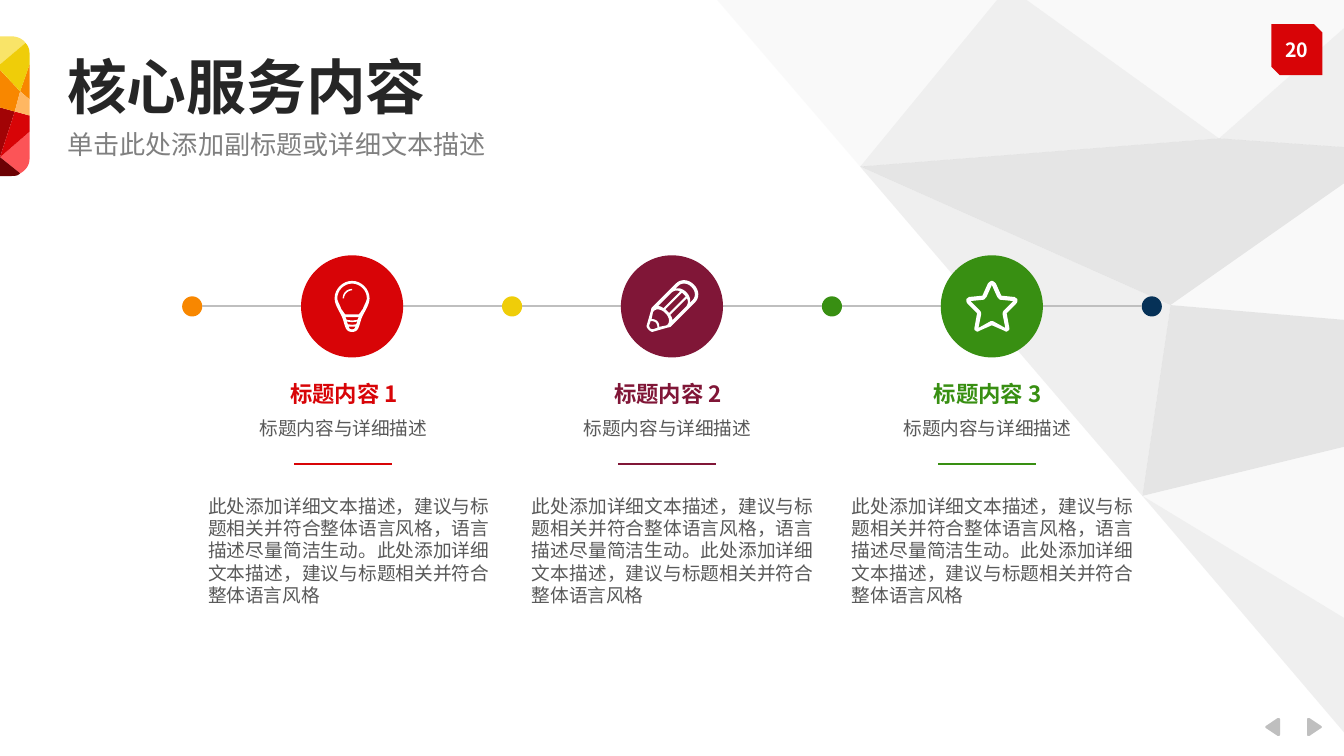
import math

import pptx
import pptx.dml.color
import pptx.enum.shapes
import pptx.enum.text
import pptx.oxml
import pptx.oxml.ns
import pptx.util
from pptx.util import Inches

RGB = pptx.dml.color.RGBColor
ALIGN = pptx.enum.text.PP_ALIGN
ANCHOR = pptx.enum.text.MSO_ANCHOR
SHAPE = pptx.enum.shapes.MSO_SHAPE

FONT = "Noto Sans CJK SC"
WHITE, PALE, LIGHT, SILVER = (RGB.from_string(c) for c in ("FFFFFF", "F2F2F2", "D9D9D9", "BFBFBF"))
INK, GREY, BODY_GREY = RGB(0x26, 0x26, 0x26), RGB(0x80, 0x80, 0x80), RGB(0x59, 0x59, 0x59)
RED, PLUM, GREEN = RGB(0xD8, 0x04, 0x07), RGB(0x80, 0x16, 0x37), RGB(0x38, 0x8F, 0x12)
ORANGE, YELLOW, NAVY = RGB(0xF8, 0x87, 0x00), RGB(0xEF, 0xCD, 0x09), RGB(0x06, 0x31, 0x57)
DARK_RED, MAROON, CORAL = RGB(0xA2, 0x03, 0x05), RGB(0x6C, 0x02, 0x04), RGB(0xFC, 0x54, 0x57)
LEMON, PEACH = RGB(0xF9, 0xE4, 0x68), RGB(0xFF, 0xB7, 0x62)

SUBHEADING = "标题内容与详细描述"
BODY = ("此处添加详细文本描述，建议与标题相关并符合整体语言风格，语言描述尽量简洁生动。"
        "此处添加详细文本描述，建议与标题相关并符合整体语言风格")

# Outlines list points (x, y) and cubic curves (x1, y1, x2, y2, x, y).
# Icon outlines give the right half, in hundredths of an inch from the icon centre.
BULB = [
    [(0, -19), (7, -19, 13, -13, 13, -6), (13, -1, 9, 4, 7, 9), (5, 15, 5, 19, 0, 19)],
    [(0, -17), (6, -17, 11, -12, 11, -6), (11, -4, 9, -1, 8, 2), (7, 3, 6, 5, 5, 6), (0, 6)],
    [(0, 8), (5, 8), (4, 10), (0, 10.5)],
    [(0, 11.7), (4, 11.3), (3, 13.3), (0, 13.7)],
    [(0, 15), (2.5, 15), (2, 17, 1, 17, 0, 17)],
]
BULB_GLINT = [(0, -13), (-4, -13, -7, -10, -7, -6), (-6, -6), (-6, -9, -3, -12, 0, -12)]
PENCIL = [
    [(0, -23), (6, -23, 10, -19, 10, -14), (10, 11), (10, 12, 9, 13, 8.5, 14),
     (3.5, 23), (3, 24.5, 1, 24.5, 0, 24.5)],
    [(0, -20.5), (4, -20.5, 7.5, -18, 7.5, -14), (7.5, -11), (6, -14, 3, -15, 0, -15)],
    [(3.5, -12), (5, -12, 7.5, -10, 7.5, -7), (7.5, 7), (6, 6, 5, 5.5, 3.5, 5.5)],
    [(0, -12.5), (2, -12.5), (2, 5), (0, 5)],
    [(0, 7), (5, 7, 8, 10, 7, 13), (4, 17.5), (3, 16, 1, 15.5, 0, 15.5)],
    [(0, 17), (1, 17, 3, 18, 3.5, 19), (2, 22), (1, 23, 0, 23, 0, 23)],
]
STAR = [
    [(0, -19), (1, -19, 2, -18, 3, -17), (7, -8), (17, -7), (18, -6, 19, -6, 19, -5),
     (19, -4, 19, -3, 18, -2), (11, 5), (13, 16), (13, 17, 13, 18, 12, 18),
     (11, 19, 11, 19, 9, 18), (0, 14)],
    [(0, -16), (4, -7), (5, -6, 5, -6, 6, -5), (16, -4), (9, 3), (8, 4, 8, 5, 8, 6),
     (10, 16), (1, 11), (0, 11)],
]

# heading, colour, text centre, icon halves, extra whole outlines, icon turn
SERVICES = [
    ("标题内容 1", RED, 2.56, BULB, [BULB_GLINT], 0),
    ("标题内容 2", PLUM, 4.97, PENCIL, [], 45),
    ("标题内容 3", GREEN, 7.35, STAR, [], 0),
]
DOT_COLORS = [ORANGE, YELLOW, GREEN, NAVY]
FIRST_DOT, STEP, LINE_Y = 1.43, 1.19, 2.28
DOT, CIRCLE = 0.15, 0.76

VERTEX = {"a": (5.25, -0.1), "b": (7.5, -0.1), "c": (10.35, -0.1), "d": (9.07, 1.03),
          "e": (10.35, 1.12), "f": (6.4, 1.24), "g": (8.71, 2.27), "h": (10.35, 2.41),
          "i": (8.5, 3.69), "j": (10.35, 3.24), "k": (10.35, 4.81), "l": (10.35, 5.86)}
FACETS = [("dbc", PALE), ("dce", LIGHT), ("bdf", LIGHT), ("fdeg", SILVER), ("fgi", LIGHT),
          ("geh", PALE), ("ghji", SILVER), ("ijk", PALE), ("ikl", LIGHT), ("bfa", PALE)]
GEM = [
    ([(0.22, 0.98), (0, 1.17), (0.15, 1.29), (0.19, 1.27, 0.22, 1.23, 0.22, 1.18)], CORAL),
    ([(0.11, 0.83), (0, 0.8), (0, 1.17)], DARK_RED),
    ([(0.11, 0.83), (0, 1.17), (0.22, 0.98), (0.22, 0.86)], RED),
    ([(0.15, 1.29), (0, 1.17), (0, 1.31), (0.08, 1.31), (0.11, 1.31, 0.13, 1.31, 0.15, 1.29)], MAROON),
    ([(0, 0.48), (0.19, 0.32), (0.17, 0.29, 0.13, 0.27, 0.08, 0.27), (0, 0.27)], LEMON),
    ([(0.22, 0.48), (0.15, 0.68), (0.22, 0.74)], ORANGE),
    ([(0.11, 0.83), (0.15, 0.68), (0, 0.52), (0, 0.8)], ORANGE),
    ([(0, 0.52), (0.15, 0.68), (0.22, 0.48), (0.22, 0.4), (0.22, 0.37, 0.21, 0.34, 0.19, 0.32),
      (0, 0.48)], YELLOW),
    ([(0.22, 0.74), (0.15, 0.68), (0.11, 0.83), (0.22, 0.86)], PEACH),
]
ARROW = [(-5.5, -5.5), (-5.5, -6.5, -4.5, -7, -3.5, -6.5), (5, -0.8), (5.7, -0.3, 5.7, 0.3, 5, 0.8),
         (-3.5, 6.5), (-4.5, 7, -5.5, 6.5, -5.5, 5.5)]


def flatten(outline, steps=8):
    """Turn points and cubic curves into points only."""
    points = []
    for part in outline:
        if len(part) == 2:
            points.append(part)
            continue
        controls = [points[-1], part[:2], part[2:4], part[4:]]
        for step in range(1, steps + 1):
            t = step / steps
            weights = ((1 - t) ** 3, 3 * t * (1 - t) ** 2, 3 * t * t * (1 - t), t ** 3)
            points.append(tuple(sum(w * c[axis] for w, c in zip(weights, controls)) for axis in (0, 1)))
    return points


def mirror(half):
    """Complete a half outline; one that stays off the axis gives a pair."""
    other = [(-x, y) for x, y in reversed(half)]
    return [half + other] if half[0][0] == 0 else [half, other]


def place(points, center_x, center_y, turn=0):
    """Turn points given in hundredths of an inch and move them to a centre."""
    cos, sin = math.cos(math.radians(turn)), math.sin(math.radians(turn))
    return [(center_x + (x * cos - y * sin) / 100, center_y + (x * sin + y * cos) / 100)
            for x, y in points]


def paint(shape, color, alpha=None):
    shape.shadow.inherit = False
    shape.fill.solid()
    shape.fill.fore_color.rgb = color
    shape.line.fill.background()
    if alpha:
        fill_color = shape._element.spPr.find(".//" + pptx.oxml.ns.qn("a:srgbClr"))
        fill_color.append(pptx.oxml.parse_xml(
            f'<a:alpha {pptx.oxml.ns.nsdecls("a")} val="{alpha * 1000}"/>'))


def add_outline(slide, contours, color, alpha=None):
    builder = None
    for contour in contours:
        points = [(Inches(x), Inches(y)) for x, y in contour]
        if builder is None:
            builder = slide.shapes.build_freeform(*points[0])
        else:
            builder.move_to(*points[0])
        builder.add_line_segments(points[1:], close=True)
    paint(builder.convert_to_shape(), color, alpha)


def add_preset(slide, kind, left, top, size, color):
    paint(slide.shapes.add_shape(kind, *map(Inches, (left, top, size, size))), color)


def add_line(slide, start_x, end_x, y, color):
    line = slide.shapes.add_connector(pptx.enum.shapes.MSO_CONNECTOR.STRAIGHT,
                                      Inches(start_x), Inches(y), Inches(end_x), Inches(y))
    line.line.color.rgb = color
    line.line.width = pptx.util.Pt(1)
    line._element.spPr.append(pptx.oxml.parse_xml(f'<a:effectLst {pptx.oxml.ns.nsdecls("a")}/>'))


def add_text(slide, text, box, size, color, bold=False, align=ALIGN.CENTER, spacing=None, **frame_format):
    frame = slide.shapes.add_textbox(*map(Inches, box)).text_frame
    for name, value in {"word_wrap": True, **frame_format}.items():
        setattr(frame, name, value)
    paragraph = frame.paragraphs[0]
    paragraph.alignment = align
    paragraph.line_spacing = spacing or pptx.util.Pt(size * 1.2)
    run = paragraph.add_run()
    run.text = text
    for name, value in {"name": FONT, "size": pptx.util.Pt(size), "bold": bold}.items():
        setattr(run.font, name, value)
    run.font.color.rgb = color
    run._r.get_or_add_rPr().append(pptx.oxml.parse_xml(
        f'<a:ea {pptx.oxml.ns.nsdecls("a")} typeface="{FONT}"/>'))


presentation = pptx.Presentation()
presentation.slide_width = Inches(10)
presentation.slide_height = presentation.slide_width * 9 // 16
slide = presentation.slides.add_slide(presentation.slide_layouts[6])

for corners, color in FACETS:
    add_outline(slide, [[VERTEX[corner] for corner in corners]], color, 40)
for center_x, turn in ((9.78, 0), (9.47, 180)):
    add_outline(slide, [place(flatten(ARROW), center_x, 5.41, turn)], SILVER)
add_preset(slide, SHAPE.SNIP_2_DIAG_RECTANGLE, 9.46, 0.18, 0.38, RED)
add_text(slide, "20", (9.46, 0.23, 0.38, 0.28), 10.5, WHITE, True, word_wrap=False)

for index, color in enumerate(DOT_COLORS):
    center = FIRST_DOT + 2 * index * STEP
    add_preset(slide, SHAPE.OVAL, center - DOT / 2, LINE_Y - DOT / 2, DOT, color)

for index, (heading, color, text_x, halves, extras, turn) in enumerate(SERVICES):
    center = FIRST_DOT + (2 * index + 1) * STEP
    reach = STEP - DOT / 2
    add_line(slide, center - reach, center - CIRCLE / 2, LINE_Y, SILVER)
    add_line(slide, center + CIRCLE / 2, center + reach, LINE_Y, SILVER)
    add_preset(slide, SHAPE.OVAL, center - CIRCLE / 2, LINE_Y - CIRCLE / 2, CIRCLE, color)
    contours = [whole for half in halves for whole in mirror(flatten(half))]
    contours += [flatten(extra) for extra in extras]
    add_outline(slide, [place(c, center, LINE_Y, turn) for c in contours], WHITE)

    add_text(slide, heading, (text_x - 0.53, 2.78, 1.06, 0.3), 12, color, True, word_wrap=False)
    add_text(slide, SUBHEADING, (text_x - 0.78, 3.05, 1.55, 0.27), 10, BODY_GREY)
    add_line(slide, text_x - 0.37, text_x + 0.36, 3.45, color)
    add_text(slide, BODY, (text_x - 1.11, 3.63, 2.29, 0.94), 10, BODY_GREY, align=ALIGN.JUSTIFY)

title_format = {"align": ALIGN.LEFT, "spacing": 0.9, "vertical_anchor": ANCHOR.MIDDLE,
                "margin_left": 0, "margin_right": 0, "margin_top": 0, "margin_bottom": 0}
add_text(slide, "核心服务内容", (0.5, 0.45, 5.25, 0.44), 32, INK, True, **title_format)
add_text(slide, "单击此处添加副标题或详细文本描述", (0.5, 0.99, 3.2, 0.19), 14, GREY, **title_format)

for outline, color in GEM:
    add_outline(slide, [flatten(outline)], color)

presentation.save("out.pptx")
